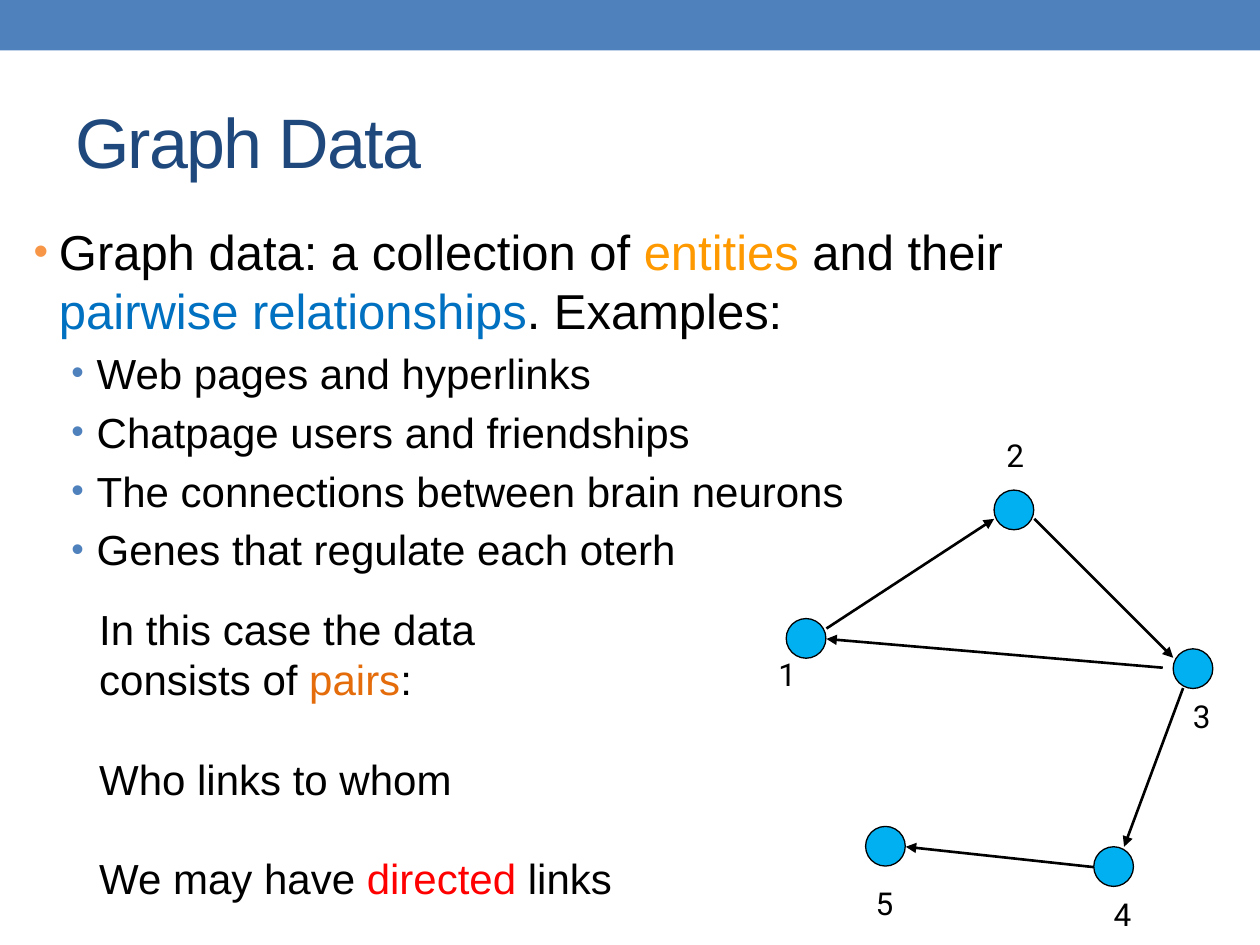
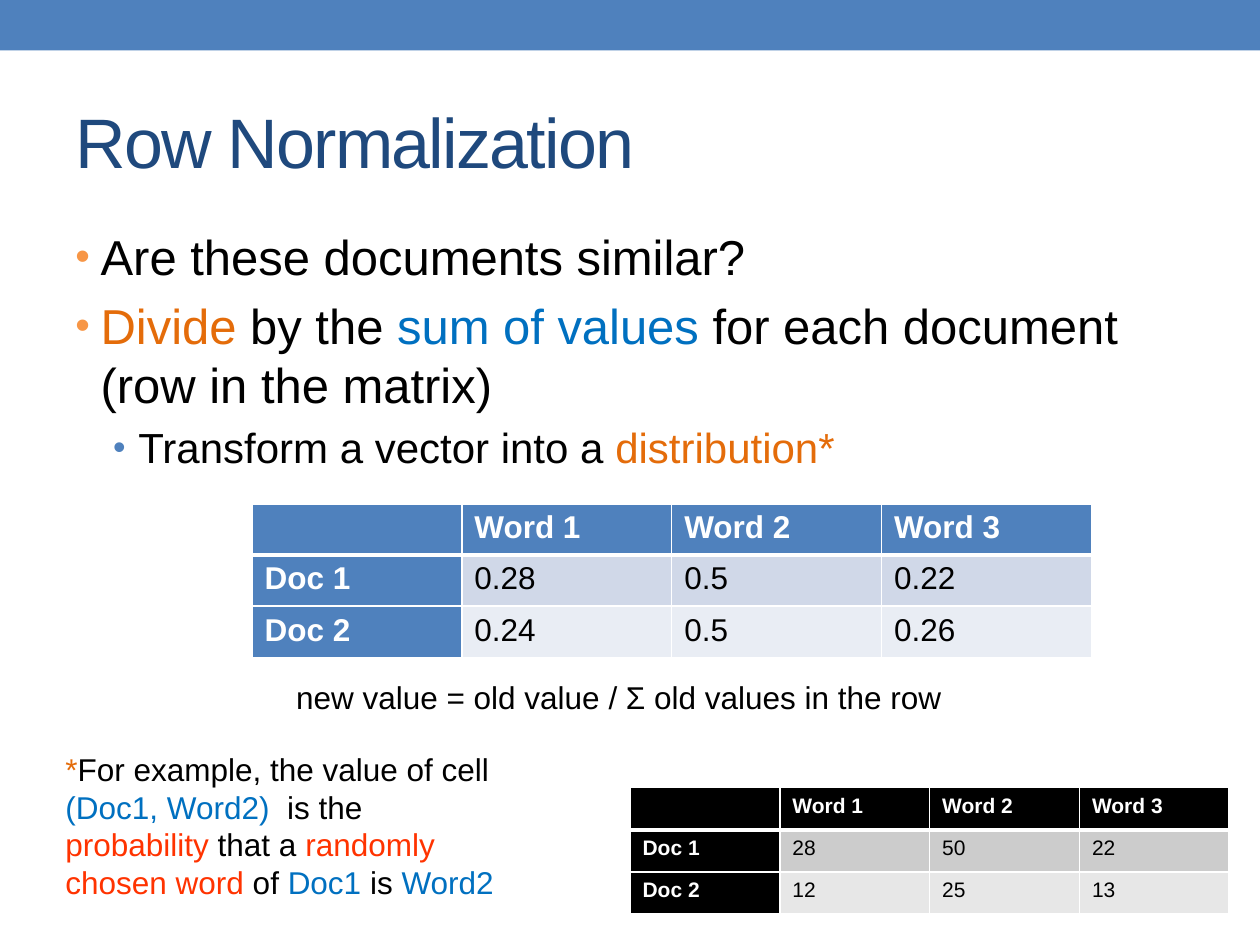
from dataclasses import dataclass

from lxml import etree
from pptx import Presentation
from pptx.dml.color import RGBColor
from pptx.enum.shapes import MSO_CONNECTOR, MSO_SHAPE
from pptx.enum.text import MSO_ANCHOR
from pptx.oxml.ns import qn
from pptx.util import Cm, Pt

RECTANGLE, OVAL = MSO_SHAPE.RECTANGLE, MSO_SHAPE.OVAL
STRAIGHT = MSO_CONNECTOR.STRAIGHT
TOP, MIDDLE = MSO_ANCHOR.TOP, MSO_ANCHOR.MIDDLE


@dataclass(frozen=True)
class Theme:
    font: str = "Arial"
    label_font: str = "Roboto"
    # colours
    band: str = "4F81BD"
    title: str = "1F497D"
    bullets: tuple = ("F79646", "4F81BD")
    black: str = "000000"
    white: str = "FFFFFF"
    amber: str = "FF9900"
    orange: str = "E46C0A"
    blue: str = "0070C0"
    red: str = "FF0000"
    scarlet: str = "FF3300"
    node: str = "00B0F0"
    blue_rows: tuple = ("D0D8E8", "E9EDF4")
    grey_rows: tuple = ("CCCCCC", "E7E7E7")
    # type sizes in points
    title_size: int = 40
    body_sizes: tuple = (28, 24)
    text_size: int = 24
    note_size: int = 18
    small_size: int = 12
    # bullet text indents in cm
    indents: tuple = (0.51, 1.27)


theme = Theme()


def add_text(slide, box, paragraphs, size=None, font=theme.font, wrap=True,
             anchor=TOP, spacing=None, gap=0):
    """Each paragraph is a list of (text, colour), led by its level if bulleted."""
    frame = slide.shapes.add_textbox(*map(Cm, box)).text_frame
    frame.word_wrap = wrap
    frame.vertical_anchor = anchor
    for index, runs in enumerate(paragraphs):
        paragraph = frame.paragraphs[0] if index == 0 else frame.add_paragraph()
        run_size = size
        if isinstance(runs[0], int):
            level, *runs = runs
            run_size = theme.body_sizes[level]
            properties = paragraph._p.get_or_add_pPr()
            properties.set("marL", str(Cm(theme.indents[level])))
            properties.set("indent", str(-Cm(theme.indents[0])))
            before = etree.SubElement(properties, qn("a:spcBef"))
            etree.SubElement(before, qn("a:spcPct"), val="20000")
            colour = etree.SubElement(properties, qn("a:buClr"))
            etree.SubElement(colour, qn("a:srgbClr"), val=theme.bullets[level])
            etree.SubElement(properties, qn("a:buSzPct"), val="85000")
            etree.SubElement(properties, qn("a:buFont"), typeface=theme.font)
            etree.SubElement(properties, qn("a:buChar"), char="•")
        elif index:
            paragraph.space_before = Pt(gap)
        for text, colour in runs:
            run = paragraph.add_run()
            run.text = text
            run.font.name = font
            run.font.size = Pt(run_size)
            run.font.color.rgb = RGBColor.from_string(colour)
            if spacing:
                run._r.get_or_add_rPr().set("spc", str(spacing))


def add_word_table(slide, left, top, column_width, row_height, rows, size,
                   head_fill, row_fills):
    table = slide.shapes.add_table(
        len(rows), len(rows[0]), Cm(left), Cm(top),
        Cm(column_width * len(rows[0])), Cm(row_height * len(rows))).table
    table.first_col = True
    for column in table.columns:
        column.width = Cm(column_width)
    for r, values in enumerate(rows):
        table.rows[r].height = Cm(row_height)
        for c, value in enumerate(values):
            cell = table.cell(r, c)
            heading = r == 0 or c == 0
            # White borders, thick below the heading row
            widths = {"lnL": 1, "lnR": 1, "lnT": 3 if r == 1 else 1,
                      "lnB": 3 if r == 0 else 1}
            for side, width in widths.items():
                border = etree.SubElement(cell._tc.get_or_add_tcPr(),
                                          qn("a:" + side), w=str(Pt(width)))
                fill = etree.SubElement(border, qn("a:solidFill"))
                etree.SubElement(fill, qn("a:srgbClr"), val=theme.white)
            cell.fill.solid()
            cell.fill.fore_color.rgb = RGBColor.from_string(
                head_fill if heading else row_fills[r - 1])
            paragraph = cell.text_frame.paragraphs[0]
            if not value:
                etree.SubElement(paragraph._p, qn("a:endParaRPr"),
                                 sz=str(size * 100))
                continue
            run = paragraph.add_run()
            run.text = value
            run.font.name = theme.font
            run.font.size = Pt(size)
            run.font.bold = heading
            run.font.color.rgb = RGBColor.from_string(
                theme.white if heading else theme.black)


deck = Presentation()
deck.slide_width, deck.slide_height = Cm(25.4), Cm(19.05)

# Band and title shared by both slides
slides = []
for heading in ("Graph Data", "Row Normalization"):
    slide = deck.slides.add_slide(deck.slide_layouts[6])
    band = slide.shapes.add_shape(RECTANGLE, 0, 0, deck.slide_width, Cm(1.02))
    band.shadow.inherit = False
    band.fill.solid()
    band.fill.fore_color.rgb = RGBColor.from_string(theme.band)
    band.line.fill.background()
    add_text(slide, (1.27, 1.47, 22.86, 2.74), [[(heading, theme.title)]],
             theme.title_size, anchor=MIDDLE, spacing=-100)
    slides.append(slide)
graph_slide, normalization_slide = slides

# Slide 1: definition and examples
examples = ("Web pages and hyperlinks", "Chatpage users and friendships",
            "The connections between brain neurons",
            "Genes that regulate each oterh")
add_text(graph_slide, (0.43, 4.34, 22.86, 7.21), [
    [0, ("Graph data: a collection of ", theme.black),
     ("entities", theme.amber), (" and their ", theme.black),
     ("pairwise relationships", theme.blue), (". Examples:", theme.black)],
    *([1, (example, theme.black)] for example in examples)])
add_text(graph_slide, (1.75, 12.04, 10.59, 4.37), [
    [("In this case the data consists of ", theme.black),
     ("pairs", theme.orange), (":", theme.black)],
    [("Who links to whom", theme.black)]], theme.text_size, gap=28)
add_text(graph_slide, (1.75, 17.07, 10.95, 1.27), [
    [("We may have ", theme.black), ("directed", theme.red),
     (" links", theme.black)]], theme.text_size, wrap=False)

# Graph nodes with their numbers: (node corner, number corner)
node_places = [
    ((15.85, 12.47), (15.44, 13.08)),
    ((20.04, 9.88), (20.04, 8.66)),
    ((23.65, 13.08), (23.8, 13.92)),
    ((22.05, 17.07), (22.2, 17.91)),
    ((17.45, 16.66), (17.4, 17.7)),
]
for number, (corner, number_corner) in enumerate(node_places, 1):
    node = graph_slide.shapes.add_shape(OVAL, *map(Cm, corner), Cm(0.8), Cm(0.8))
    node.shadow.inherit = False
    node.fill.solid()
    node.fill.fore_color.rgb = RGBColor.from_string(theme.node)
    node.line.color.rgb = RGBColor.from_string(theme.black)
    node.line.width = Pt(0.75)
    add_text(graph_slide, (*number_corner, 0.86, 1.02),
             [[(str(number), theme.black)]], theme.note_size,
             font=theme.label_font, wrap=False)

# Directed links
links = [
    (16.66, 12.67, 20.04, 10.46),  # 1 to 2
    (20.85, 10.46, 23.65, 13.26),  # 2 to 3
    (23.44, 13.46, 16.66, 12.88),  # 3 to 1
    (23.85, 13.87, 22.66, 17.07),  # 3 to 4
    (22.05, 17.48, 18.26, 17.07),  # 4 to 5
]
for ends in links:
    link = graph_slide.shapes.add_connector(STRAIGHT, *map(Cm, ends))
    link.line.color.rgb = RGBColor.from_string(theme.black)
    link.line.width = Pt(1.5)
    etree.SubElement(link.line._get_or_add_ln(), qn("a:tailEnd"), type="triangle")
    etree.SubElement(link._element.spPr, qn("a:effectLst"))

# Slide 2: question and method
add_text(normalization_slide, (1.27, 4.45, 22.86, 13.54), [
    [0, ("Are these documents similar?", theme.black)],
    [0, ("Divide", theme.orange), (" by the ", theme.black),
     ("sum of values ", theme.blue),
     ("for each document (row in the matrix)", theme.black)],
    [1, ("Transform a vector into a ", theme.black),
     ("distribution*", theme.orange)]])

# Normalized values and word counts
words = ("", "Word 1", "Word 2", "Word 3")
add_word_table(normalization_slide, 5.08, 10.16, 4.23, 1.03,
               [words, ("Doc 1", "0.28", "0.5", "0.22"),
                ("Doc 2", "0.24", "0.5", "0.26")],
               theme.note_size, theme.band, theme.blue_rows)
add_word_table(normalization_slide, 12.7, 15.88, 3.02, 0.85,
               [words, ("Doc 1", "28", "50", "22"),
                ("Doc 2", "12", "25", "13")],
               theme.small_size, theme.black, theme.grey_rows)

# Formula and footnote
add_text(normalization_slide, (5.72, 13.54, 13.64, 1.02),
         [[("new value = old value / Σ old values in the row", theme.black)]],
         theme.note_size, wrap=False)
add_text(normalization_slide, (1.07, 14.99, 9.32, 3.33), [
    [("*", theme.orange), ("For example, the value of cell ", theme.black),
     ("(Doc1, Word2)  ", theme.blue), ("is the ", theme.black),
     ("probability", theme.scarlet), (" that a ", theme.black),
     ("randomly chosen word", theme.scarlet), (" of ", theme.black),
     ("Doc1", theme.blue), (" is ", theme.black), ("Word2", theme.blue)]],
    theme.note_size)

deck.save("out.pptx")
